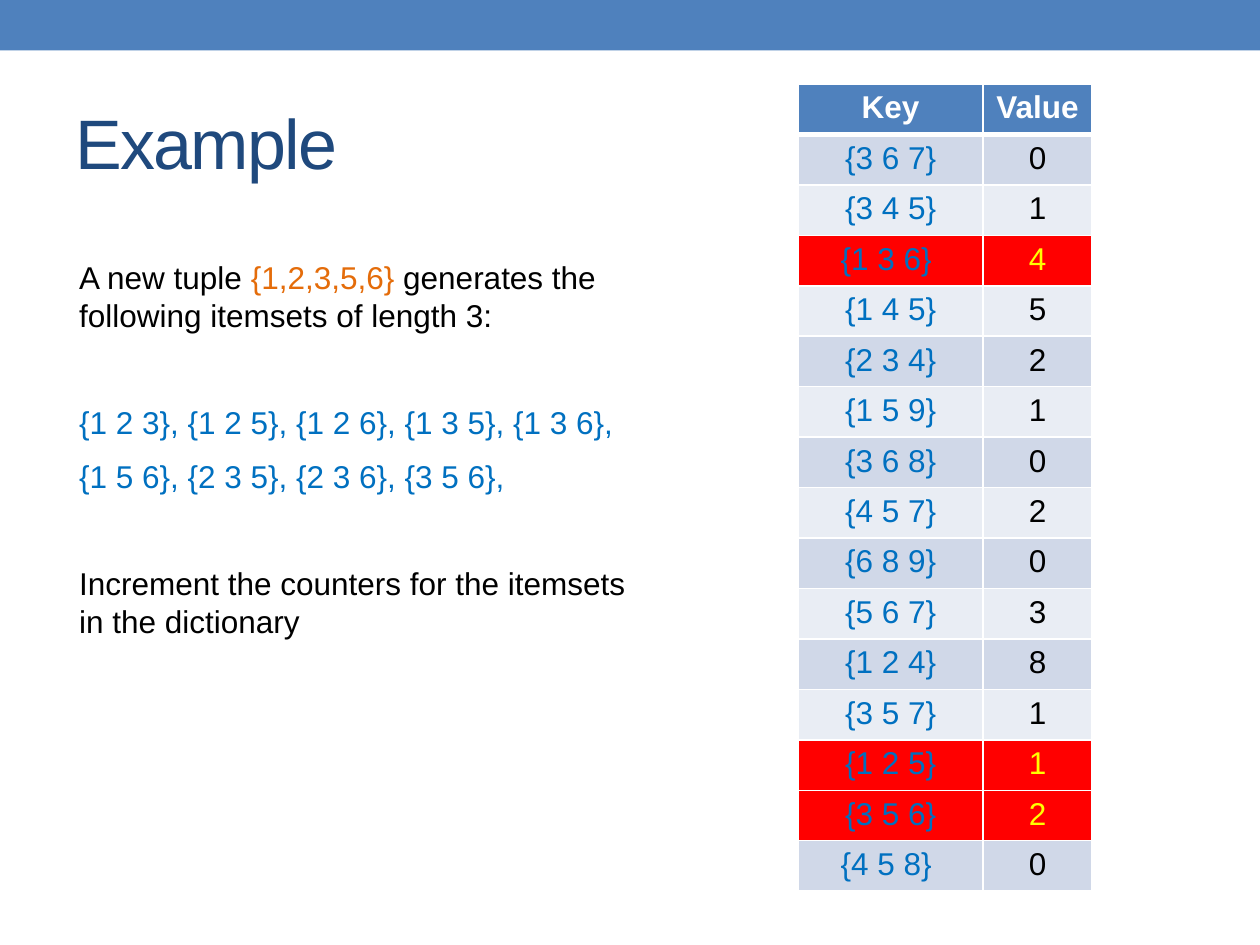
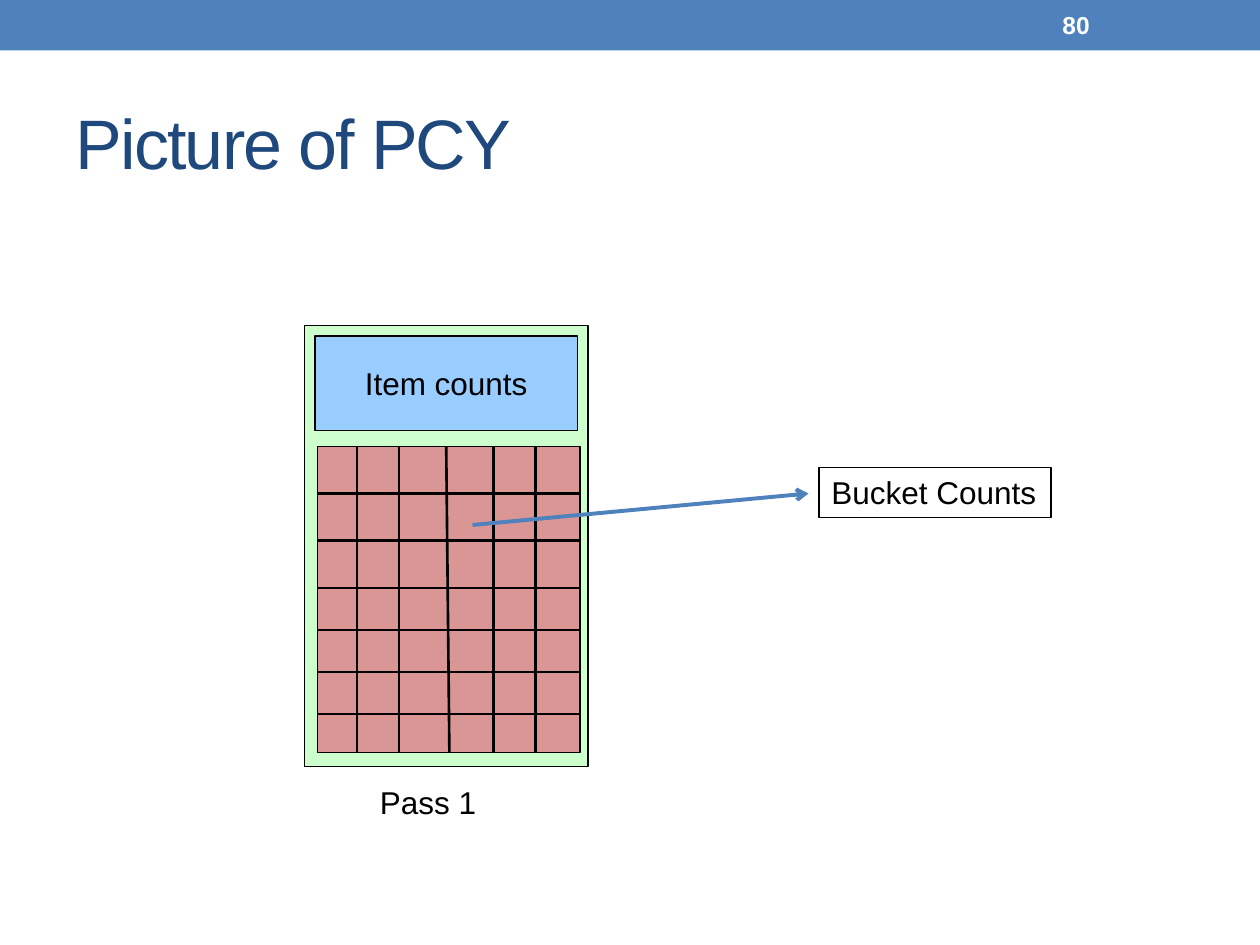
from dataclasses import dataclass

from lxml import etree
from pptx import Presentation
from pptx.dml.color import RGBColor
from pptx.enum.shapes import MSO_CONNECTOR, MSO_SHAPE
from pptx.enum.text import MSO_ANCHOR, PP_ALIGN
from pptx.oxml.ns import qn
from pptx.util import Inches, Pt

RECTANGLE = MSO_SHAPE.RECTANGLE
STRAIGHT = MSO_CONNECTOR.STRAIGHT
TOP, MIDDLE = MSO_ANCHOR.TOP, MSO_ANCHOR.MIDDLE
LEFT, CENTER = PP_ALIGN.LEFT, PP_ALIGN.CENTER

# The slide is a grid of 120 columns and 90 rows
WIDTH, HEIGHT = Inches(10), Inches(7.5)
COLUMNS, ROWS = 120, 90


@dataclass(frozen=True)
class Theme:
    font: str = "Arial"
    title_size: int = 40
    body_size: int = 18
    number_size: int = 14
    line_pitch: float = 21.6
    accent: str = "4F81BD"
    title: str = "1F497D"
    black: str = "000000"
    white: str = "FFFFFF"
    itemset: str = "0070C0"
    new_tuple: str = "E46C0A"
    band_dark: str = "D0D8E8"
    band_light: str = "E9EDF4"
    hit: str = "FF0000"
    hit_text: str = "FFFF00"
    memory: str = "CCFFCC"
    items: str = "99CCFF"
    buckets: str = "D99694"


THEME = Theme()


def rgb(color):
    return RGBColor.from_string(color)


def column(count):
    return round(WIDTH * count / COLUMNS)


def row(count):
    return round(HEIGHT * count / ROWS)


def place(left, top, width, height):
    return column(left), row(top), column(width), row(height)


class Deck:
    def __init__(self, theme):
        self.theme = theme
        self.presentation = Presentation()
        self.presentation.slide_width = WIDTH
        self.presentation.slide_height = HEIGHT
        self.slide = None

    def new_slide(self, title, number=None):
        """Add a slide with the top band, its title and, if given, its number."""
        theme = self.theme
        self.slide = self.presentation.slides.add_slide(self.presentation.slide_layouts[6])
        self.box((0, 0, 120, 4.8), fill=theme.accent)
        if number:
            self.text((100, 0.25, 14, 4.3), number, theme.white, anchor=MIDDLE,
                      size=Pt(theme.number_size), bold=True)
        heading = self.text((6, 7, 108, 13), title, theme.title, anchor=MIDDLE,
                            size=Pt(theme.title_size))
        run = heading.text_frame.paragraphs[0].runs[0]
        run.font._element.set("spc", "-100")

    def add_run(self, paragraph, text, color, **formats):
        """Append a run in the theme font; formats override the defaults."""
        run = paragraph.add_run()
        run.text = text
        values = {"name": self.theme.font, "size": Pt(self.theme.body_size), "bold": False}
        for name, value in (values | formats).items():
            setattr(run.font, name, value)
        run.font.color.rgb = rgb(color)

    def label(self, shape, text, color, anchor=TOP, align=LEFT, wrap=True, **formats):
        frame = shape.text_frame
        for name, value in {"word_wrap": wrap, "vertical_anchor": anchor}.items():
            setattr(frame, name, value)
        frame.paragraphs[0].alignment = align
        self.add_run(frame.paragraphs[0], text, color, **formats)

    def text(self, area, text, color, **formats):
        shape = self.slide.shapes.add_textbox(*place(*area))
        self.label(shape, text, color, **formats)
        return shape

    def paragraphs(self, area, items):
        """Each item is the space before in points and a list of (text, color)."""
        frame = self.slide.shapes.add_textbox(*place(*area)).text_frame
        frame.word_wrap = True
        for index, (space, runs) in enumerate(items):
            paragraph = frame.add_paragraph() if index else frame.paragraphs[0]
            formats = {"space_before": Pt(space), "line_spacing": Pt(self.theme.line_pitch)}
            for name, value in formats.items():
                setattr(paragraph, name, value)
            for text, color in runs:
                self.add_run(paragraph, text, color)

    def box(self, area, fill=None, outline=None):
        shape = self.slide.shapes.add_shape(RECTANGLE, *place(*area))
        shape.shadow.inherit = False
        if fill:
            shape.fill.solid()
            shape.fill.fore_color.rgb = rgb(fill)
        else:
            shape.fill.background()
        if outline:
            shape.line.color.rgb = rgb(outline)
            shape.line.width = Pt(0.75)
        else:
            shape.line.fill.background()
        return shape

    def line(self, start, end, color, width, arrow=False):
        ends = [column(start[0]), row(start[1]), column(end[0]), row(end[1])]
        connector = self.slide.shapes.add_connector(STRAIGHT, *ends)
        connector.line.color.rgb = rgb(color)
        connector.line.width = Pt(width)
        properties = connector._element.spPr
        etree.SubElement(properties, qn("a:effectLst"))
        if arrow:
            etree.SubElement(properties.find(qn("a:ln")), qn("a:tailEnd"), type="arrow")

    def borders(self, cell, widths):
        """Draw white borders; widths in points for left, right, top, bottom."""
        properties = cell._tc.get_or_add_tcPr()
        for index, (side, width) in enumerate(zip("LRTB", widths)):
            border = etree.Element(qn(f"a:ln{side}"), w=str(Pt(width)))
            fill = etree.SubElement(border, qn("a:solidFill"))
            etree.SubElement(fill, qn("a:srgbClr"), val=self.theme.white)
            properties.insert(index, border)

    def table(self, area, widths, header, records, hits):
        theme = self.theme
        lines = [header] + records
        table = self.slide.shapes.add_table(len(lines), len(header), *place(*area)).table
        for index, width in enumerate(widths):
            table.columns[index].width = column(width)
        for r, values in enumerate(lines):
            if r == 0:
                fill, colors = theme.accent, (theme.white, theme.white)
            elif r in hits:
                fill, colors = theme.hit, (theme.itemset, theme.hit_text)
            else:
                fill = theme.band_dark if r % 2 else theme.band_light
                colors = (theme.itemset, theme.black)
            for c, (value, color) in enumerate(zip(values, colors)):
                cell = table.cell(r, c)
                cell.fill.solid()
                cell.fill.fore_color.rgb = rgb(fill)
                self.borders(cell, (1, 1, 3 if r == 1 else 1, 3 if r == 0 else 1))
                paragraph = cell.text_frame.paragraphs[0]
                paragraph.alignment = CENTER
                self.add_run(paragraph, value, color, bold=r == 0)


def example_slide(deck):
    theme = deck.theme
    deck.new_slide("Example")
    # Explanation: sections are set apart by a wide gap
    near, far = 9, 39.6
    deck.paragraphs((6.36, 24, 55.8, 39.4), [
        (0, [("A new tuple ", theme.black), ("{1,2,3,5,6} ", theme.new_tuple),
             ("generates the following itemsets of length 3:", theme.black)]),
        (far, [("{1 2 3}, {1 2 5}, {1 2 6}, {1 3 5}, {1 3 6},", theme.itemset)]),
        (near, [("{1 5 6}, {2 3 5}, {2 3 6}, {3 5 6},", theme.itemset)]),
        (far, [("Increment the counters for the itemsets in the dictionary", theme.black)]),
    ])
    # Dictionary of itemset counters
    counters = [
        ("{3 6 7}", "0"), ("{3 4 5}", "1"), ("{1 3 6} ", "4"), ("{1 4 5}", "5"),
        ("{2 3 4}", "2"), ("{1 5 9}", "1"), ("{3 6 8}", "0"), ("{4 5 7}", "2"),
        ("{6 8 9}", "0"), ("{5 6 7}", "3"), ("{1 2 4}", "8"), ("{3 5 7}", "1"),
        ("{1 2 5}", "1"), ("{3 5 6}", "2"), ("{4 5 8} ", "0"),
    ]
    deck.table((76, 8, 28, 76.8), (17.64, 10.36), ("Key", "Value"), counters, {3, 13, 14})


def pcy_slide(deck):
    theme = deck.theme
    deck.new_slide("Picture of PCY", "80")
    # Main memory during the first pass
    deck.box((29, 31, 27, 42), theme.memory, theme.black)
    item_counts = deck.box((30, 32, 25, 9), theme.items, theme.black)
    deck.label(item_counts, "Item counts", theme.black, anchor=MIDDLE, align=CENTER, wrap=False)
    deck.text((35, 74, 13.8, 6), "Pass 1", theme.black)
    # Hash table of buckets
    left, top, right, bottom = 30.25, 42.5, 55.25, 71.65
    deck.box((left, top, right - left, bottom - top), theme.buckets, theme.black)
    for upper, lower in ((34, 34), (38, 38), (42.5, 42.8), (47, 47), (51, 51)):
        deck.line((upper, top), (lower, bottom), theme.black, 1.5)
    for level in (47, 51.5, 56, 60, 64, 68):
        deck.line((left, level), (right, level), theme.black, 1.5)
    # Callout
    deck.line((45, 50), (77, 47), theme.accent, 2.25, arrow=True)
    bucket_counts = deck.box((78, 44.5, 22.1, 4.8), outline=theme.black)
    deck.label(bucket_counts, "Bucket Counts", theme.black, anchor=MIDDLE, wrap=False)


def main():
    deck = Deck(THEME)
    example_slide(deck)
    pcy_slide(deck)
    deck.presentation.save("out.pptx")


if __name__ == "__main__":
    main()
